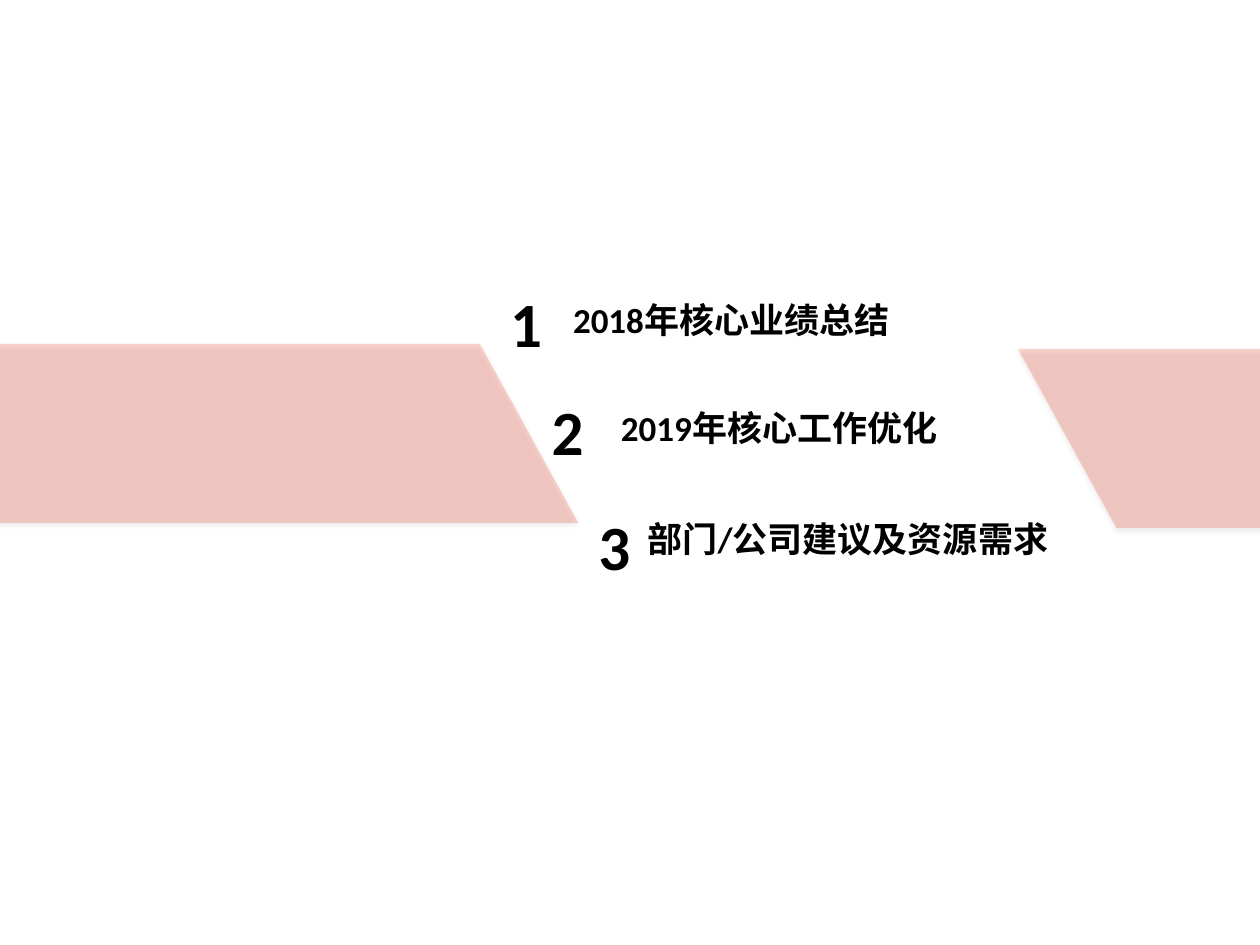
from dataclasses import dataclass

from lxml.etree import SubElement
from pptx import Presentation
from pptx.dml.color import RGBColor
from pptx.enum.shapes import MSO_SHAPE
from pptx.enum.text import MSO_AUTO_SIZE
from pptx.oxml import parse_xml
from pptx.oxml.ns import nsdecls, qn
from pptx.util import Inches, Pt


@dataclass(frozen=True)
class Theme:
    font: str = "Calibri"
    ink: RGBColor = RGBColor(0x00, 0x00, 0x00)
    band: RGBColor = RGBColor(0xFA, 0x2C, 0x0A)
    band_alpha: int = 20
    number_size: int = 36
    title_size: int = 20


THEME = Theme()
BAND_SLANT = 0.55
TEXT_HEIGHT = 0.5

# left and top of each slanted band
BANDS = [(8.08, 2.77), (-1.08, 2.73)]

# number left, top, width; title left, top, width; title
AGENDA = [
    ((3.95, 2.21, 0.25), (4.45, 2.25, 4.04), "2018年核心业绩总结"),
    ((4.28, 3.07, 0.33), (4.83, 3.11, 3.25), "2019年核心工作优化"),
    ((4.65, 3.98, 0.33), (5.04, 3.99, 3.49), "部门/公司建议及资源需求"),
]


def add_soft_shadow(shape):
    shape.shadow.inherit = False
    effects = shape._element.spPr.find(qn("a:effectLst"))
    effects.append(parse_xml(
        f'<a:outerShdw {nsdecls("a")} blurRad="{Pt(3.1)}" dist="{Pt(1.6)}" '
        'dir="5400000" rotWithShape="0"><a:srgbClr val="000000">'
        '<a:alpha val="38000"/></a:srgbClr></a:outerShdw>'))


def add_band(page, left, top):
    band = page.shapes.add_shape(MSO_SHAPE.PARALLELOGRAM, Inches(left),
                                 Inches(top), Inches(5.67), Inches(1.42))
    band.adjustments[0] = BAND_SLANT
    band._element.spPr.find(qn("a:xfrm")).set("flipV", "1")
    band.fill.solid()
    band.fill.fore_color.rgb = THEME.band
    color = band._element.spPr.find(qn("a:solidFill"))[0]
    SubElement(color, qn("a:alpha")).set("val", str(THEME.band_alpha * 1000))
    band.line.fill.background()
    add_soft_shadow(band)


def add_text(page, place, text, size):
    left, top, width = place
    box = page.shapes.add_textbox(Inches(left), Inches(top),
                                  Inches(width), Inches(TEXT_HEIGHT))
    frame = box.text_frame
    frame.text = text
    para = frame.paragraphs[0]
    for span in para.runs:
        span.font.name = THEME.font
        span.font.size = Pt(size)
        span.font.bold = True
        span.font.color.rgb = THEME.ink
    return frame


def add_agenda_item(page, number, number_place, title_place, title):
    frame = add_text(page, number_place, str(number), THEME.number_size)
    frame.word_wrap = False

    frame = add_text(page, title_place, title, THEME.title_size)
    frame.word_wrap = True
    frame.auto_size = MSO_AUTO_SIZE.SHAPE_TO_FIT_TEXT
    frame.paragraphs[0].line_spacing = 1.2


def main():
    deck = Presentation()
    deck.slide_width, deck.slide_height = Inches(10), Inches(7.5)
    page = deck.slides.add_slide(deck.slide_layouts[6])

    # Slanted bands running off both sides
    for left, top in BANDS:
        add_band(page, left, top)

    # Numbered agenda stepping along the slant
    for number, item in enumerate(AGENDA, start=1):
        add_agenda_item(page, number, *item)

    deck.save("out.pptx")


if __name__ == "__main__":
    main()
